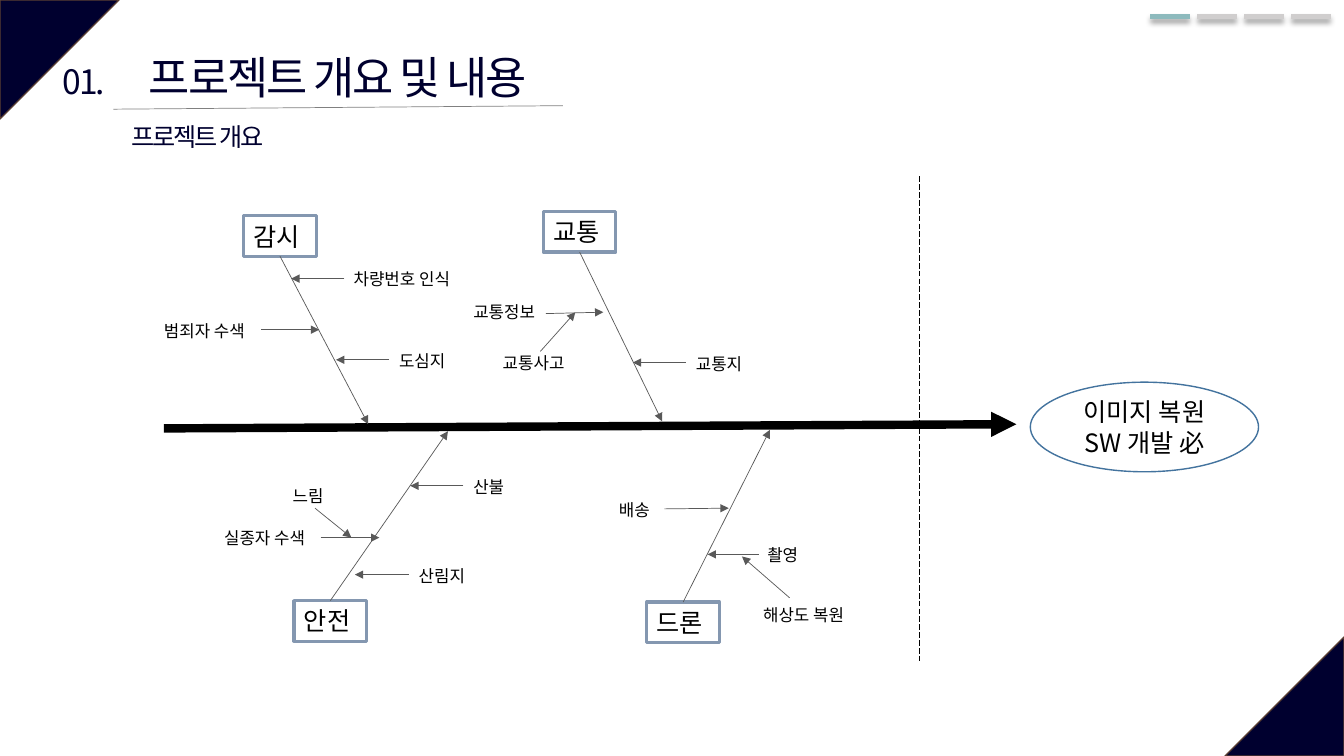
"""Build the project overview slide with its fishbone diagram."""
from lxml import etree
from pptx import Presentation
from pptx.dml.color import RGBColor
from pptx.enum.dml import MSO_LINE
from pptx.enum.shapes import MSO_CONNECTOR, MSO_SHAPE
from pptx.enum.text import MSO_ANCHOR, MSO_AUTO_SIZE, PP_ALIGN
from pptx.oxml.ns import qn
from pptx.util import Pt

STRAIGHT = MSO_CONNECTOR.STRAIGHT
LONG_DASH = MSO_LINE.LONG_DASH
TRIANGLE = MSO_SHAPE.ISOSCELES_TRIANGLE
RECTANGLE = MSO_SHAPE.RECTANGLE
OVAL = MSO_SHAPE.OVAL
MIDDLE = MSO_ANCHOR.MIDDLE
NO_AUTOFIT = MSO_AUTO_SIZE.NONE
LEFT = PP_ALIGN.LEFT
CENTER = PP_ALIGN.CENTER

FONT = "Noto Sans CJK KR"
NAVY = "00002F"
BLACK = "000000"
GRAY = "595959"
TOP, BOTTOM = 0, 2


def write(shape, text, size, color=BLACK, align=LEFT, spacing=0, wrap=True):
    """Fill a shape with one formatted paragraph."""
    frame = shape.text_frame
    frame.text = text
    frame.word_wrap = wrap
    frame.auto_size = NO_AUTOFIT
    frame.vertical_anchor = MIDDLE
    para = frame.paragraphs[0]
    para.alignment = align
    para.font.size = Pt(size)
    para.font.name = FONT
    para.font.color.rgb = RGBColor.from_string(color)
    properties = para._p.find(".//" + qn("a:defRPr"))
    etree.SubElement(properties, qn("a:ea"), typeface=FONT)
    if spacing:
        properties.set("spc", str(int(spacing * 100)))


def draw_line(start, end, color=GRAY, width=0.5, arrow=True):
    """Add a straight line without a shadow, with an arrowhead if wanted."""
    points = [Pt(value) for value in (*start, *end)]
    line = slide.shapes.add_connector(STRAIGHT, *points)
    line.line.color.rgb = RGBColor.from_string(color)
    line.line.width = Pt(width)
    if arrow:
        etree.SubElement(line.line._get_or_add_ln(), qn("a:tailEnd"), type="triangle")
    etree.SubElement(line._element.spPr, qn("a:effectLst"))
    return line


deck = Presentation()
deck.slide_width, deck.slide_height = Pt(960), Pt(540)
slide = deck.slides.add_slide(deck.slide_layouts[5])

for x, y, rotation in [(0, 0, 90), (875, 455, 270)]:
    corner = slide.shapes.add_shape(TRIANGLE, Pt(x), Pt(y), Pt(85), Pt(85))
    corner.adjustments[0] = 0
    corner.rotation = rotation
    corner.shadow.inherit = False
    corner.fill.solid()
    corner.fill.fore_color.rgb = RGBColor.from_string(NAVY)
    corner.line.color.rgb = RGBColor.from_string("5B3F33")
    corner.line.width = Pt(1)

title = slide.shapes.title
title.left, title.top, title.width, title.height = Pt(81), Pt(32), Pt(321), Pt(46)
write(title, "프로젝트 개요 및 내용", 32, NAVY, CENTER, -1.5, False)
draw_line((81, 78), (402, 75.5), "808080", arrow=False)

for text, x, y, width, height, size in [
    ("01.", 36, 40, 48, 36, 24),
    ("프로젝트 개요", 81, 83, 120, 29, 18),
]:
    heading = slide.shapes.add_textbox(Pt(x), Pt(y), Pt(width), Pt(height))
    write(heading, text, size, NAVY, CENTER, -1.5, False)

for index, color in enumerate(["8DBABD", "D0CECE", "D0CECE", "D0CECE"]):
    x = 821.5 + 33.6 * index
    step = draw_line((x, 11.5), (x + 28.2, 11.5), color, 3.5, False)
    effects = step._element.spPr.find(qn("a:effectLst"))
    shadow = etree.SubElement(
        effects, qn("a:outerShdw"), blurRad=str(Pt(4)), dist=str(Pt(3)),
        dir="5400000", algn="t", rotWithShape="0")
    shade = etree.SubElement(shadow, qn("a:srgbClr"), val=BLACK)
    etree.SubElement(shade, qn("a:alpha"), val="40000")

draw_line((117, 306), (726, 303), BLACK, 6)
divider = draw_line((657, 126), (657, 472), BLACK, arrow=False)
divider.line.dash_style = LONG_DASH

for text, x, y, side, tip in [
    ("감시", 174, 154, BOTTOM, (263, 303)),
    ("교통", 388, 151, BOTTOM, (473, 301)),
    ("안전", 210, 429, TOP, (320, 308)),
    ("드론", 462, 430, TOP, (550, 307)),
]:
    box = slide.shapes.add_shape(RECTANGLE, Pt(x), Pt(y), Pt(52), Pt(29))
    box.shadow.inherit = False
    box.fill.background()
    box.line.color.rgb = RGBColor.from_string("8497B0")
    box.line.width = Pt(2.25)
    write(box, text, 18)
    bone = draw_line((x + 26, y), tip)
    bone.begin_connect(box, side)

for text, x, y, width, start, end in [
    ("차량번호 인식", 245.5, 188, 95, (246, 199), (208, 199)),
    ("범죄자 수색", 110, 225, 80, (186.5, 235.5), (228, 235.5)),
    ("도심지", 278, 247, 53, (278, 257), (240, 257)),
    ("교통정보", 331, 212, 68, (390, 224), (431, 223)),
    ("교통사고", 352, 248, 68, (386, 251), (411, 223)),
    ("교통지", 490, 249, 53, (490, 259), (452, 259)),
    ("산불", 331, 337, 39, (331, 347), (293, 347)),
    ("느림", 202, 343, 41, (225, 363), (251, 384)),
    ("실종자 수색", 153, 373, 84, (229, 384), (271, 384)),
    ("산림지", 292, 400, 53, (292, 410.5), (253.5, 410.5)),
    ("배송", 435, 353.5, 39, (474.5, 363.5), (520.5, 363)),
    ("촬영", 541, 385, 39, (542, 396), (505.5, 396)),
    ("해상도 복원", 538, 428, 84, (564, 427), (530, 397.5)),
]:
    label = slide.shapes.add_textbox(Pt(x), Pt(y), Pt(width), Pt(22))
    write(label, text, 12)
    draw_line(start, end)

goal = slide.shapes.add_shape(OVAL, Pt(736), Pt(273), Pt(163), Pt(64))
goal.shadow.inherit = False
goal.fill.background()
goal.line.color.rgb = RGBColor.from_string("43739E")
goal.line.width = Pt(1)
write(goal, "이미지 복원 SW 개발 必", 18, align=CENTER)

deck.save("out.pptx")
